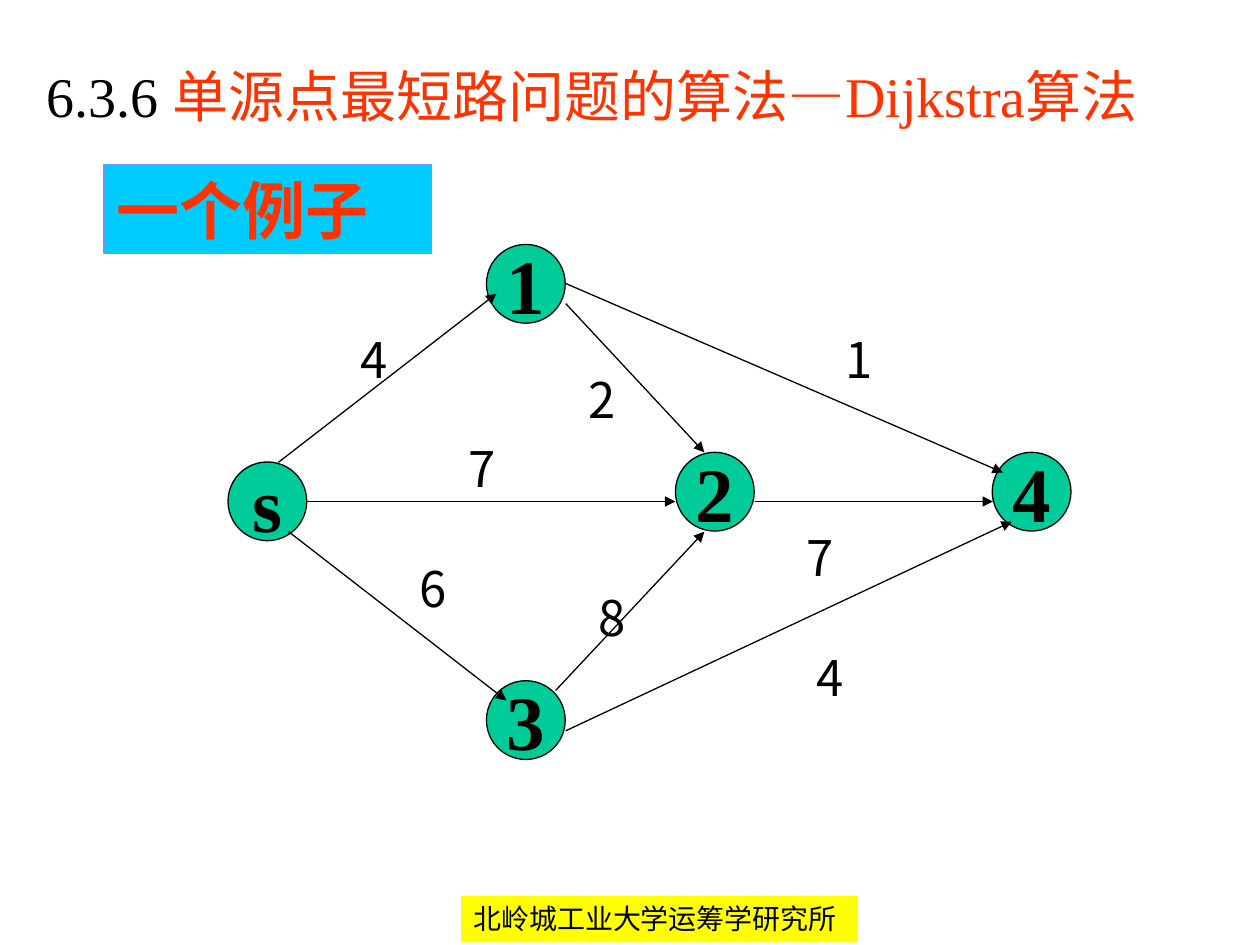
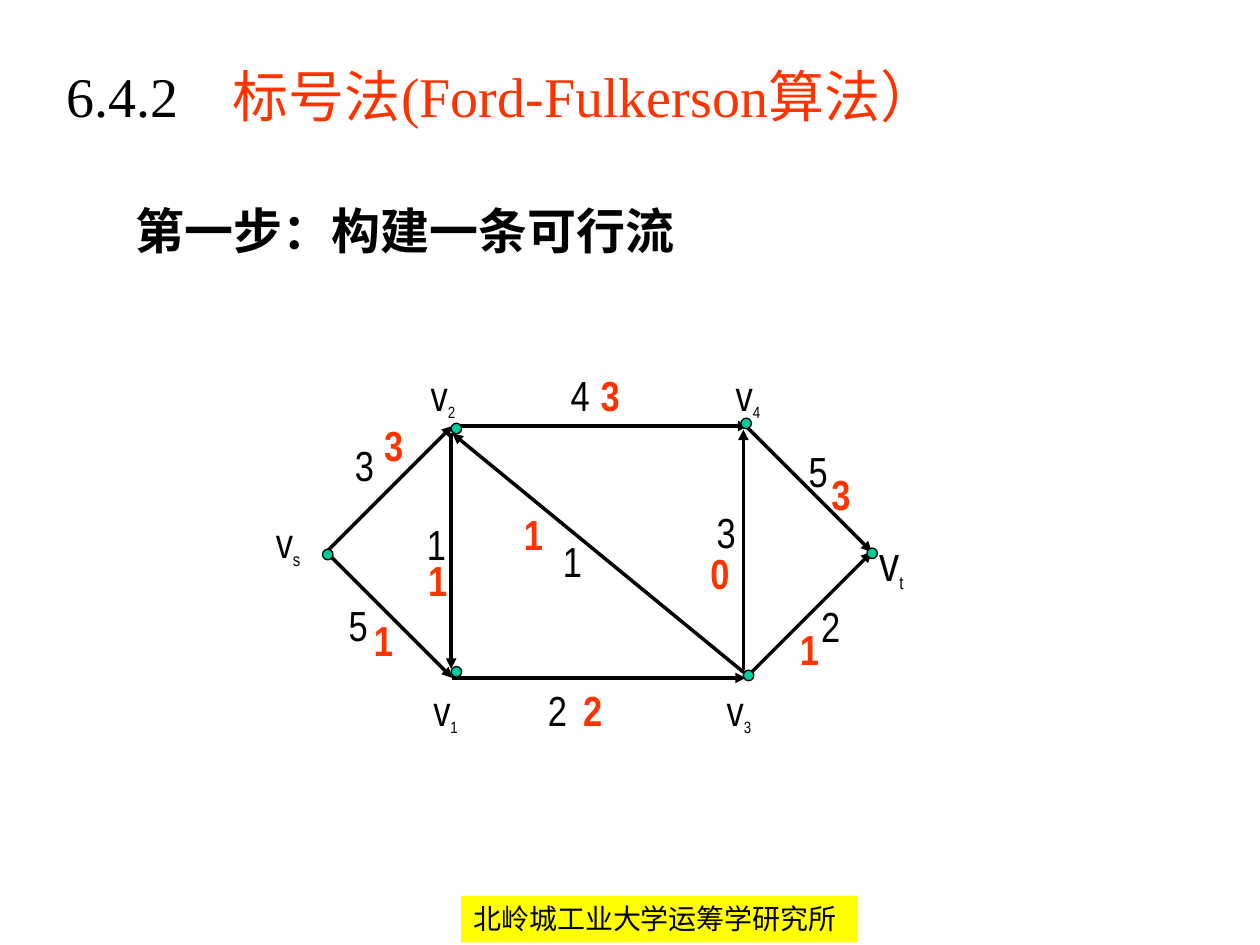
from dataclasses import dataclass

from lxml import etree
from pptx import Presentation
from pptx.dml.color import RGBColor
from pptx.enum import shapes, text
from pptx.oxml.ns import qn
from pptx.util import Pt

BLACK = RGBColor(0x00, 0x00, 0x00)
RED = RGBColor(0xFF, 0x33, 0x00)
GREEN = RGBColor(0x00, 0xCC, 0x99)
YELLOW = RGBColor(0xFF, 0xFF, 0x00)
CYAN = RGBColor(0x00, 0xCC, 0xFF)
BLUE = RGBColor(0x66, 0x99, 0xFF)

SERIF = "Times New Roman"
NARROW = "Arial Narrow"
CJK = "Noto Sans CJK SC"

NODE_SIZE = 45
DOT_SIZE = 6
THIN, THICK = 0.75, 2

Point = tuple[float, float]


@dataclass(frozen=True)
class Style:
    font: str
    size: float
    color: RGBColor = BLACK
    bold: bool = False
    baseline: int = 0


@dataclass(frozen=True)
class Node:
    name: str
    at: Point


@dataclass(frozen=True)
class Edge:
    start: Point
    end: Point
    weight: str
    weight_at: Point


@dataclass(frozen=True)
class Vertex:
    index: str
    dot_at: Point
    name_at: Point
    size: float = 24
    index_size: float = 16


@dataclass(frozen=True)
class Arc:
    start: Point
    end: Point
    capacity: str
    capacity_at: Point
    flow: str
    flow_at: Point


FOOTER = Style(CJK, 16)
SECTION = Style(SERIF, 32)
TOPIC = Style(SERIF, 32, RED)
BADGE = Style(SERIF, 36, RED, bold=True)
STEP = Style(CJK, 28, bold=True)
NODE_NAME = Style(SERIF, 44, bold=True)
WEIGHT = Style(CJK, 28)
CAPACITY = Style(NARROW, 24)
FLOW = Style(NARROW, 24, RED, bold=True)

NODES = [
    Node("1", (278, 139.7)),
    Node("2", (386, 258.5)),
    Node("3", (278, 389)),
    Node("4", (567, 258.5)),
    Node("s", (130.3, 264)),
]

EDGES = [
    Edge((175.7, 286.6), (385.9, 286.6), "7", (260.6, 247)),
    Edge((164.9, 303.8), (289.4, 400.3), "6", (232.6, 315.4)),
    Edge((317.5, 394.6), (402.5, 303.8), "8", (334.8, 331.9)),
    Edge((323.3, 173.5), (402.5, 258.5), "2", (329, 207.4)),
    Edge((431.3, 286.6), (567.4, 286.6), "7", (453.6, 298.1)),
    Edge((323.3, 162), (573.1, 270), "1", (475.9, 185)),
    Edge((323.3, 417.6), (578.2, 298.1), "4", (459.4, 366.5)),
    Edge((159.1, 264.2), (283.7, 167.8), "4", (198.7, 185)),
]

VERTICES = [
    Vertex("s", (184.3, 313.9), (150.5, 291.6), index_size=18),
    Vertex("2", (257.8, 241.9), (239, 207.4)),
    Vertex("4", (423.4, 239), (413.3, 207.4)),
    Vertex("t", (495.4, 313.2), (495.3, 300.9), size=28, index_size=18),
    Vertex("1", (257.8, 380.9), (240.5, 387.4)),
    Vertex("3", (424.8, 383), (408.2, 387.4)),
]

SOURCE, SINK = (186.5, 315.4), (498.2, 315.4)
ARCS = [
    Arc((259.2, 243.4), (427.7, 243.4), "4", (319, 207.4), "3", (336.2, 207.4)),
    Arc((257.8, 247.7), (257.8, 382.3), "1", (236.9, 293), "1", (237.6, 313.2)),
    Arc(SOURCE, (258.5, 243.4), "3", (195.8, 247.7), "3", (212.4, 236.2)),
    Arc(SOURCE, (258.5, 387.4), "5", (192.2, 339.1), "1", (206.6, 347.8)),
    Arc((258.5, 387.4), (426.2, 387.4), "2", (306, 387.4), "2", (326.2, 387.4)),
    Arc((426.2, 243.4), SINK, "5", (455, 251.3), "3", (468, 264.2)),
    Arc((426.2, 387.4), SINK, "2", (462.2, 339.8), "1", (450, 352.8)),
    Arc((426.2, 385.2), (258.5, 247.7), "1", (314.6, 302.4), "1", (292.3, 287.3)),
    Arc((424.8, 383), (424.8, 245.5), "3", (402.5, 285.8), "0", (398.9, 309.6)),
]


def write(shape, *pieces: tuple[str, Style], align=text.PP_ALIGN.LEFT,
          anchor=text.MSO_ANCHOR.TOP, wrap: bool = True):
    """Fill the shape with one paragraph of styled pieces and return it."""
    frame = shape.text_frame
    frame.word_wrap = wrap
    frame.vertical_anchor = anchor
    paragraph = frame.paragraphs[0]
    paragraph.alignment = align
    for words, style in pieces:
        run = paragraph.add_run()
        run.text = words
        run.font.name = style.font
        run.font.size = Pt(style.size)
        run.font.bold = style.bold
        run.font.color.rgb = style.color
        properties = run._r.get_or_add_rPr()
        etree.SubElement(properties, qn("a:ea"), typeface=CJK)
        if style.baseline:
            properties.set("baseline", str(style.baseline))
    return paragraph


def add_text(slide, at: Point, size: Point, *pieces: tuple[str, Style], **layout):
    box = slide.shapes.add_textbox(*map(Pt, at + size))
    return write(box, *pieces, **layout)


def add_filled(slide, kind, at: Point, size: Point, fill: RGBColor,
               outline: RGBColor | None = None):
    shape = slide.shapes.add_shape(kind, *map(Pt, at + size))
    shape.shadow.inherit = False
    shape.fill.solid()
    shape.fill.fore_color.rgb = fill
    if outline is None:
        shape.line.fill.background()
    else:
        shape.line.color.rgb = outline
        shape.line.width = Pt(THIN)
    return shape


def add_circle(slide, at: Point, diameter: float):
    return add_filled(slide, shapes.MSO_SHAPE.OVAL, at, (diameter, diameter), GREEN, BLACK)


def add_arrow(slide, start: Point, end: Point, width: float) -> None:
    arrow = slide.shapes.add_connector(shapes.MSO_CONNECTOR.STRAIGHT, *map(Pt, start + end))
    arrow.line.color.rgb = BLACK
    arrow.line.width = Pt(width)
    properties = arrow._element.spPr
    etree.SubElement(properties.find(qn("a:ln")), qn("a:tailEnd"), type="triangle")
    etree.SubElement(properties, qn("a:effectLst"))


def add_tab_stop(paragraph, position: float) -> None:
    stops = etree.SubElement(paragraph._p.get_or_add_pPr(), qn("a:tabLst"))
    etree.SubElement(stops, qn("a:tab"), pos=str(Pt(position)), algn="l")


def start_slide(deck, left: float, section: str, topic: str):
    """Add a slide with footer band and title; return it and the title paragraph."""
    slide = deck.slides.add_slide(deck.slide_layouts[6])
    band = add_filled(slide, shapes.MSO_SHAPE.RECTANGLE, (263.5, 511.9), (226.8, 26.6), YELLOW)
    write(band, ("北岭城工业大学运筹学研究所", FOOTER))
    title = add_text(slide, (left, 31.7), (664, 60), (section, SECTION), (topic, TOPIC))
    return slide, title


def build_shortest_path(deck) -> None:
    slide, _ = start_slide(deck, 19.4, "6.3.6 ", "单源点最短路问题的算法—Dijkstra算法")
    for node in NODES:
        write(add_circle(slide, node.at, NODE_SIZE), (node.name, NODE_NAME),
              align=text.PP_ALIGN.CENTER, anchor=text.MSO_ANCHOR.MIDDLE, wrap=False)
    for edge in EDGES:
        add_arrow(slide, edge.start, edge.end, THIN)
        add_text(slide, edge.weight_at, (18, 36), (edge.weight, WEIGHT),
                 align=text.PP_ALIGN.CENTER, wrap=False)
    badge = add_filled(slide, shapes.MSO_SHAPE.RECTANGLE, (59.5, 94.3), (187, 50.5), CYAN, BLUE)
    write(badge, ("一个例子", BADGE))


def build_max_flow(deck) -> None:
    slide, title = start_slide(deck, 31, "6.4.2\t", "标号法(Ford-Fulkerson算法）")
    add_tab_stop(title, 95)
    step = add_text(slide, (70.6, 105.8), (532.8, 51), ("第一步：构建一条可行流", STEP))
    step.line_spacing = 1.15
    for arc in ARCS:
        add_arrow(slide, arc.start, arc.end, THICK)
        add_text(slide, arc.capacity_at, (30, 36), (arc.capacity, CAPACITY))
        add_text(slide, arc.flow_at, (30, 36), (arc.flow, FLOW))
    for vertex in VERTICES:
        add_circle(slide, vertex.dot_at, DOT_SIZE)
        add_text(slide, vertex.name_at, (48, 37.5),
                 ("v", Style(NARROW, vertex.size)),
                 (vertex.index, Style(NARROW, vertex.index_size, baseline=-25000)))


def main() -> None:
    deck = Presentation()
    deck.slide_width, deck.slide_height = Pt(720), Pt(540)
    build_shortest_path(deck)
    build_max_flow(deck)
    deck.save("out.pptx")


if __name__ == "__main__":
    main()
